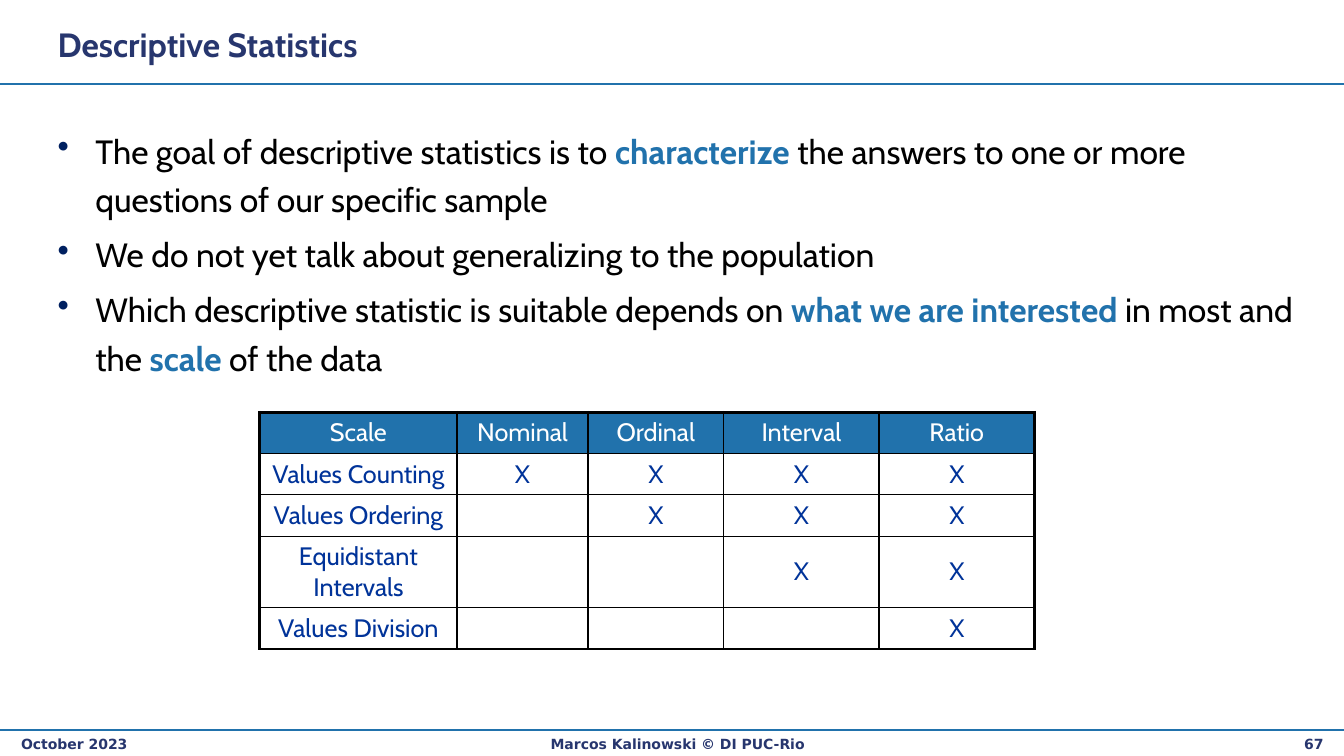
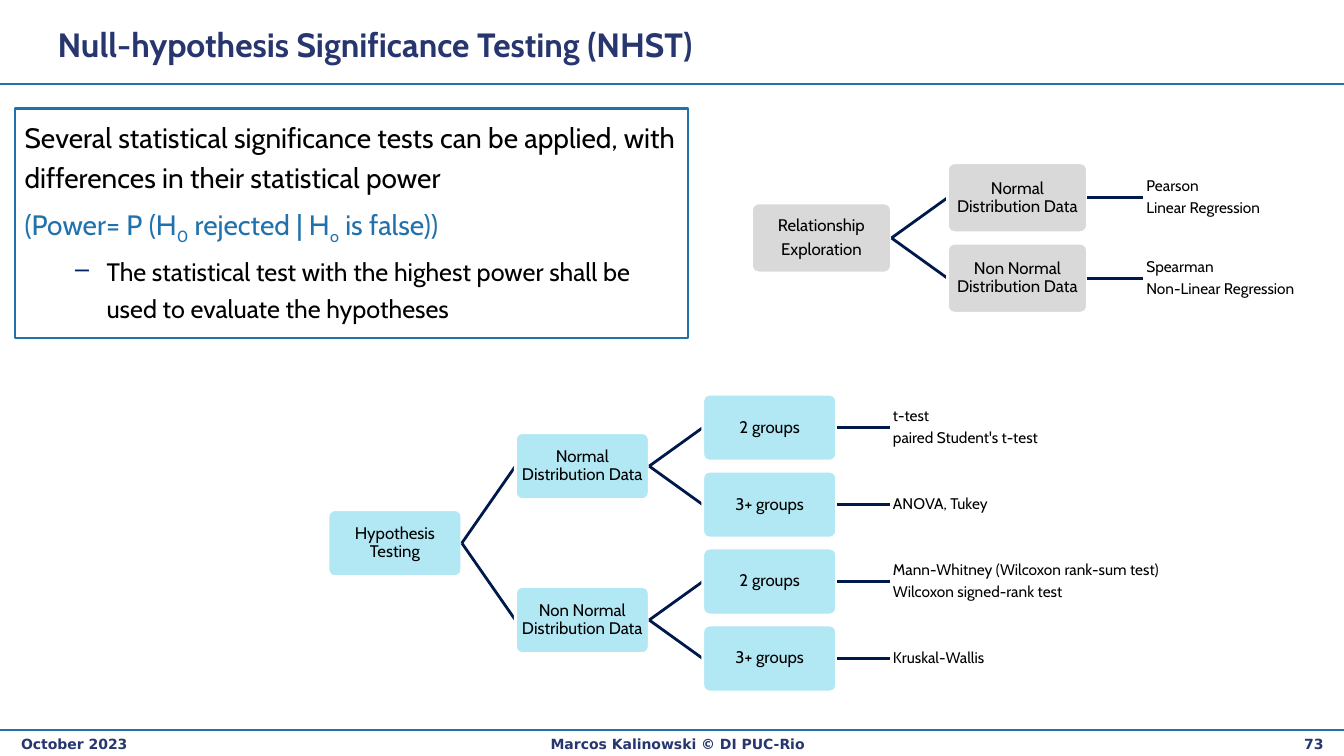
from dataclasses import dataclass

from lxml import etree
from pptx import Presentation
from pptx.dml.color import RGBColor
from pptx.enum.shapes import MSO_CONNECTOR, MSO_SHAPE
from pptx.enum.text import MSO_ANCHOR as Anchor, MSO_AUTO_SIZE, PP_ALIGN as Align
from pptx.oxml.ns import qn
from pptx.util import Pt

SLIDE_W, SLIDE_H = 960, 540
TITLE_ONLY = 5
BODY_FONT, FOOTER_FONT = "Cabin", "DejaVu Sans"

BLACK = RGBColor(0x00, 0x00, 0x00)
WHITE = RGBColor(0xFF, 0xFF, 0xFF)
BLUE = RGBColor(0x21, 0x72, 0xAC)
NAVY = RGBColor(0x27, 0x36, 0x6E)
BULLET_NAVY = RGBColor(0x00, 0x20, 0x60)
BRANCH_NAVY = RGBColor(0x00, 0x19, 0x4C)
CELL_BLUE = RGBColor(0x00, 0x33, 0x99)
CYAN = RGBColor(0xB2, 0xE7, 0xF4)
GRAY = RGBColor(0xD9, 0xD9, 0xD9)

KEY = {"color": BLUE, "bold": True}
SUBSCRIPT = {"baseline": -25}


@dataclass
class Node:
    """A step of a decision tree; without children it is a plain outcome."""
    lines: list
    children: tuple = ()

    @property
    def outcomes(self):
        return sum(child.outcomes for child in self.children) or 1


def points(*lengths):
    return [Pt(length) for length in lengths]


def add_bullet(paragraph, symbol, left, hanging):
    props = paragraph._p.get_or_add_pPr()
    props.set("marL", str(Pt(left)))
    props.set("indent", str(-Pt(hanging)))
    color = etree.SubElement(props, qn("a:buClr"))
    etree.SubElement(color, qn("a:srgbClr"), val=str(BULLET_NAVY))
    etree.SubElement(props, qn("a:buChar"), char=symbol)


def write(frame, runs, *, size, color=BLACK, bold=False, font=BODY_FONT, align=Align.LEFT,
          spacing=1.0, before=0, level=0, bullet=None):
    """Add one paragraph; runs is a string or a list of strings and (string, format) pairs."""
    first = not frame.paragraphs[0].runs
    paragraph = frame.paragraphs[0] if first else frame.add_paragraph()
    paragraph.alignment = align
    paragraph.level = level
    paragraph.line_spacing = spacing
    paragraph.space_before = Pt(0 if first else before)
    if bullet:
        add_bullet(paragraph, *bullet)
    for part in [runs] if isinstance(runs, str) else runs:
        words, own = (part, {}) if isinstance(part, str) else part
        run = paragraph.add_run()
        run.text = words
        run.font.name = font
        run.font.size = Pt(size)
        run.font.bold = own.get("bold", bold)
        run.font.color.rgb = own.get("color", color)
        if "baseline" in own:
            run._r.get_or_add_rPr().set("baseline", str(own["baseline"] * 1000))


def prepare(frame, anchor=Anchor.TOP, inset=None):
    frame.word_wrap = True
    frame.auto_size = MSO_AUTO_SIZE.NONE
    frame.vertical_anchor = anchor
    if inset is not None:
        frame.margin_left = frame.margin_right = Pt(inset)
        frame.margin_top = frame.margin_bottom = Pt(inset)
    return frame


def add_text_area(slide, box, **frame_format):
    return prepare(slide.shapes.add_textbox(*points(*box)).text_frame, **frame_format)


def add_panel(slide, kind, box, *, fill=None, line, line_width):
    panel = slide.shapes.add_shape(kind, *points(*box))
    panel.shadow.inherit = False
    if fill is None:
        panel.fill.background()
    else:
        panel.fill.solid()
        panel.fill.fore_color.rgb = fill
    panel.line.color.rgb = line
    panel.line.width = Pt(line_width)
    return panel


def add_line(slide, start, end, color, width):
    line = slide.shapes.add_connector(MSO_CONNECTOR.STRAIGHT, *points(*start, *end))
    line.line.color.rgb = color
    line.line.width = Pt(width)
    etree.SubElement(line._element.spPr, qn("a:effectLst"))


def add_framed_slide(prs, title, number):
    """Add a slide with the shared title, rules and footer."""
    slide = prs.slides.add_slide(prs.slide_layouts[TITLE_ONLY])
    for y in (60, 521.3):
        add_line(slide, (0, y), (SLIDE_W, y), BLUE, 1)

    heading = slide.shapes.title
    heading.left, heading.top, heading.width, heading.height = points(34, 9, 830, 44.6)
    write(prepare(heading.text_frame, Anchor.MIDDLE), title, size=24, color=NAVY, bold=True)

    footers = (("October 2023", 8, 199, Align.LEFT),
               ("Marcos Kalinowski © DI PUC-Rio", 176, 616, Align.CENTER),
               (number, 843, 109.5, Align.RIGHT))
    for words, left, width, align in footers:
        write(add_text_area(slide, (left, 521.5, width, 18)), words,
              size=10, color=NAVY, bold=True, font=FOOTER_FONT, align=align)
    return slide


def add_goals(slide, box):
    frame = add_text_area(slide, box)
    goals = (
        ["The goal of descriptive statistics is to ", ("characterize", KEY),
         " the answers to one or more questions of our specific sample"],
        "We do not yet talk about generalizing to the population",
        ["Which descriptive statistic is suitable depends on ",
         ("what we are interested", KEY), " in most and the ", ("scale", KEY),
         " of the data"],
    )
    for goal in goals:
        write(frame, goal, size=24, spacing=1.2, before=4.8, bullet=("•", 27, 27))


def set_borders(cell, widths):
    props = cell._tc.get_or_add_tcPr()
    for side, width in widths.items():
        line = etree.SubElement(props, qn(f"a:ln{side}"), w=str(Pt(width)))
        fill = etree.SubElement(line, qn("a:solidFill"))
        etree.SubElement(fill, qn("a:srgbClr"), val=str(BLACK))


def add_scale_table(slide, left, top):
    scales = ("Scale", "Nominal", "Ordinal", "Interval", "Ratio")
    first_scale = {"Values Counting": 1, "Values Ordering": 2,
                   "Equidistant Intervals": 3, "Values Division": 4}
    rows = [scales]
    for operation, first in first_scale.items():
        rows.append([operation] + ["X" if c >= first else "" for c in range(1, len(scales))])
    widths = (141, 93.5, 97, 111, 111)
    heights = (29.5, 29.5, 29.5, 44, 29.5)

    table = slide.shapes.add_table(len(rows), len(scales), *points(
        left, top, sum(widths), sum(heights))).table
    table.first_row = table.horz_banding = False
    for column, width in zip(table.columns, widths):
        column.width = Pt(width)
    for row, height in zip(table.rows, heights):
        row.height = Pt(height)

    def border(at_edge):
        return 2.25 if at_edge else 1

    for r, row in enumerate(rows):
        for c, words in enumerate(row):
            cell = table.cell(r, c)
            set_borders(cell, {"L": border(c == 0), "R": border(c == len(scales) - 1),
                               "T": border(r == 0), "B": border(r == len(rows) - 1)})
            cell.vertical_anchor = Anchor.MIDDLE
            if r == 0:
                cell.fill.solid()
                cell.fill.fore_color.rgb = BLUE
            else:
                cell.fill.background()
            if words:
                write(cell.text_frame, words, size=18, align=Align.CENTER,
                      color=WHITE if r == 0 else CELL_BLUE)


def add_power_panel(slide, box):
    panel = add_panel(slide, MSO_SHAPE.RECTANGLE, box, line=BLUE, line_width=1.5)
    frame = prepare(panel.text_frame)
    write(frame, "Several statistical significance tests can be applied, "
          "with differences in their statistical power", size=20, spacing=1.2)
    write(frame, ["(Power= P (H", ("0", SUBSCRIPT), " rejected | H", ("o", SUBSCRIPT),
                  " is false))"], size=20, color=BLUE, spacing=1.2, before=4)
    write(frame, "The statistical test with the highest power shall be used to evaluate "
          "the hypotheses", size=18, spacing=1.2, before=3.6, level=1,
          bullet=("–", 58.5, 22.5))


def add_tree(slide, node, left, top, *, box_width, outcome_width, fill):
    """Draw node midway along its outcomes, then its branches to the right."""
    box_height = box_width / 2
    pitch = 1.15 * box_height
    step = 1.4 * box_width
    middle = top + node.outcomes * pitch / 2
    box_top = middle - box_height / 2

    if node.children:
        panel = add_panel(slide, MSO_SHAPE.ROUNDED_RECTANGLE,
                          (left, box_top, box_width, box_height),
                          fill=fill, line=WHITE, line_width=2)
        panel.adjustments[0] = 0.1
        frame, size, align = panel.text_frame, 12, Align.CENTER
        prepare(frame, Anchor.MIDDLE, inset=2)
    else:
        frame = add_text_area(slide, (left, box_top, outcome_width, box_height),
                              anchor=Anchor.MIDDLE, inset=2)
        size, align = 11, Align.LEFT
    for words in node.lines:
        write(frame, words, size=size, align=align, spacing=0.9, before=0.35 * size)

    child_top = top
    for child in node.children:
        child_middle = child_top + child.outcomes * pitch / 2
        add_line(slide, (left + box_width, middle), (left + step, child_middle),
                 BRANCH_NAVY, 2)
        add_tree(slide, child, left + step, child_top, box_width=box_width,
                 outcome_width=outcome_width, fill=fill)
        child_top += child.outcomes * pitch


def build_statistics_slide(prs):
    slide = add_framed_slide(prs, "Descriptive Statistics", "67")
    add_goals(slide, (34, 84, 902, 200))
    add_scale_table(slide, 185.5, 294.5)


def build_testing_slide(prs):
    slide = add_framed_slide(prs, "Null-hypothesis Significance Testing (NHST)", "73")
    add_power_panel(slide, (10.5, 77.5, 481, 164))

    normal, non_normal = ["Normal Distribution Data"], ["Non Normal Distribution Data"]

    def by_groups(two, more):
        return (Node(["2 groups"], (Node(two),)), Node(["3+ groups"], (Node(more),)))

    testing = Node(["Hypothesis Testing"], (
        Node(normal, by_groups(["t-test", "paired Student's t-test"], ["ANOVA, Tukey"])),
        Node(non_normal, by_groups(
            ["Mann-Whitney (Wilcoxon rank-sum test)", "Wilcoxon signed-rank test"],
            ["Kruskal-Wallis"])),
    ))
    exploration = Node(["Relationship", "Exploration"], (
        Node(normal, (Node(["Pearson", "Linear Regression"]),)),
        Node(non_normal, (Node(["Spearman", "Non-Linear Regression"]),)),
    ))
    add_tree(slide, testing, 234.3, 278, box_width=95.6, outcome_width=204, fill=CYAN)
    add_tree(slide, exploration, 536.8, 112.5, box_width=100, outcome_width=140, fill=GRAY)


def main():
    prs = Presentation()
    prs.slide_width, prs.slide_height = points(SLIDE_W, SLIDE_H)
    build_statistics_slide(prs)
    build_testing_slide(prs)
    prs.save("out.pptx")


if __name__ == "__main__":
    main()
